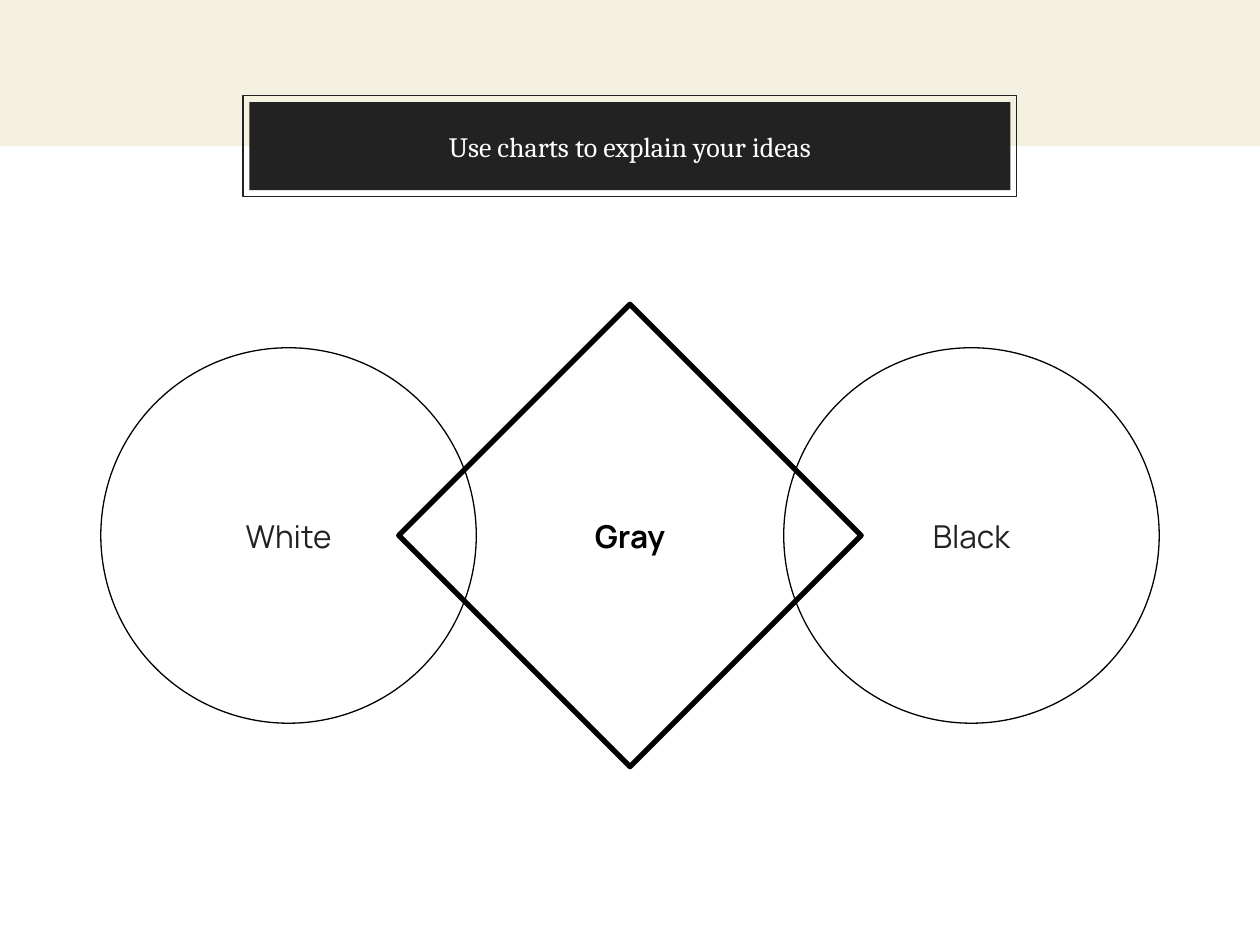
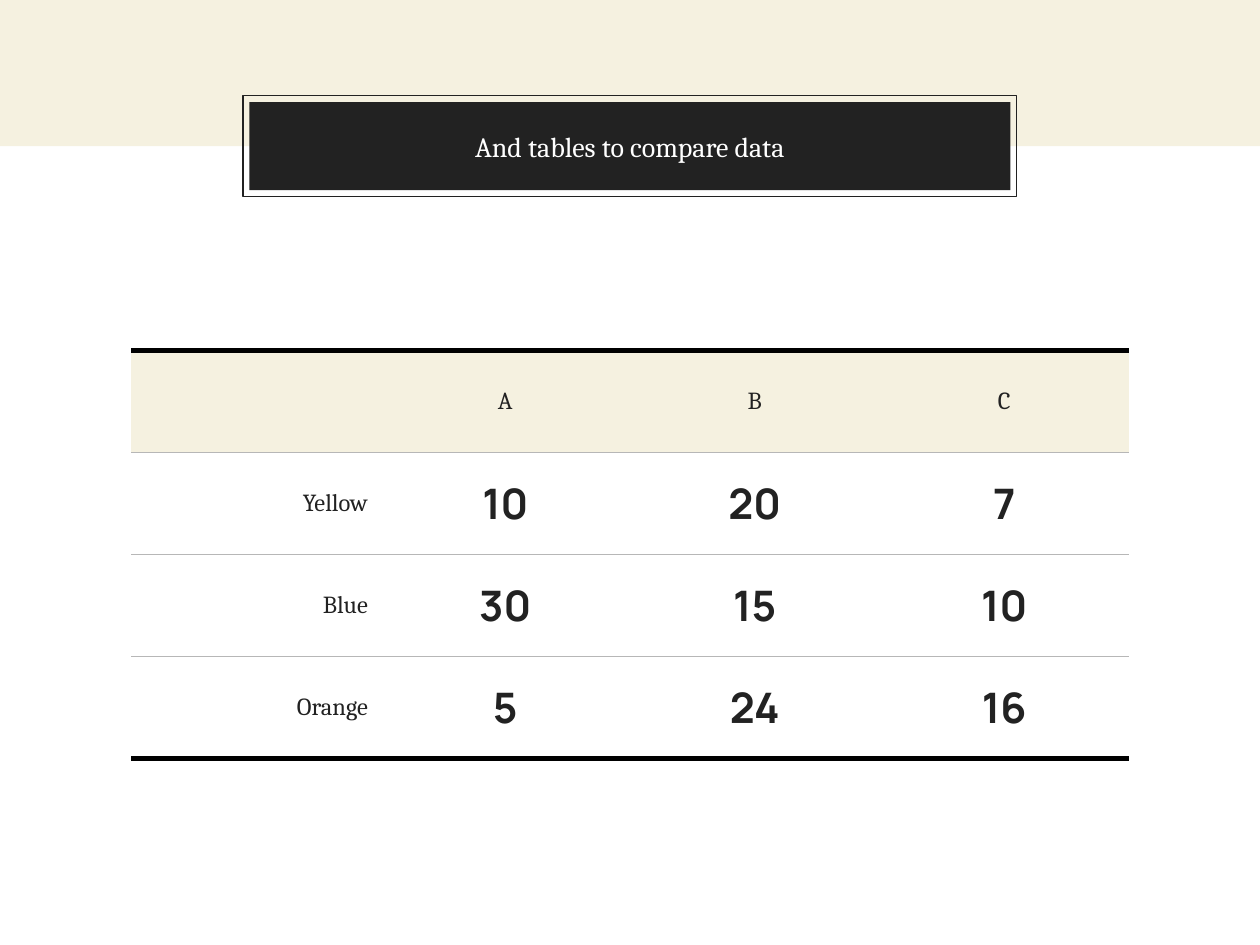
from dataclasses import dataclass

from lxml.etree import SubElement
from pptx import Presentation
from pptx.dml.color import RGBColor
from pptx.enum.shapes import MSO_SHAPE as Shape
from pptx.enum.text import MSO_ANCHOR as Anchor, PP_ALIGN as Align
from pptx.oxml.ns import qn
from pptx.util import Inches, Pt


@dataclass(frozen=True)
class Theme:
    cream: str = "F5F1E0"
    ink: str = "222222"
    black: str = "000000"
    white: str = "FFFFFF"
    rule: str = "B7B7B7"
    serif: str = "Cambria"
    sans: str = "Manrope"
    title_size: int = 16
    label_size: int = 18
    heading_size: int = 14
    value_size: int = 24
    thin: float = 0.75
    thick: float = 3
    margin: float = 0.1


def write_text(frame, text, *, font, size, color, bold=False, align=Align.CENTER):
    paragraph = frame.paragraphs[0]
    paragraph.alignment = align
    run = paragraph.add_run()
    run.text = text
    run.font.name = font
    run.font.size = Pt(size)
    run.font.bold = bold
    run.font.color.rgb = RGBColor.from_string(color)


def set_margins(target, margin):
    target.margin_left = target.margin_right = Inches(margin)
    target.margin_top = target.margin_bottom = Inches(margin)


def set_fill(fill, color):
    if color:
        fill.solid()
        fill.fore_color.rgb = RGBColor.from_string(color)
    else:
        fill.background()


def set_border(cell, side, color=None, width=0):
    properties = cell._tc.get_or_add_tcPr()
    line = SubElement(properties, qn(f"a:ln{side}"), w=str(int(Pt(width))))
    if color:
        fill = SubElement(line, qn("a:solidFill"))
        SubElement(fill, qn("a:srgbClr"), val=color)
    else:
        SubElement(line, qn("a:noFill"))


class Deck:
    def __init__(self, theme, width=10, height=7.5):
        self.theme = theme
        self.width = width
        self.presentation = Presentation()
        self.presentation.slide_width = Inches(width)
        self.presentation.slide_height = Inches(height)
        self.layout = self.presentation.slide_layouts.get_by_name("Title Only")
        self.slide = None

    def add_slide(self, title):
        is_first = self.slide is None
        self.slide = self.presentation.slides.add_slide(self.layout)
        if is_first:
            self.add_layout_band()
        self.set_title(title)

    def add_layout_band(self):
        band = self.add_shape(Shape.RECTANGLE, 0, 0, self.width, 1.16, fill=self.theme.cream)
        frame = self.add_shape(Shape.RECTANGLE, 1.93, 0.76, 6.14, 0.8,
                               line=self.theme.ink, weight=self.theme.thin)
        for shape in (band, frame):
            self.layout.shapes.element.append(shape.element)

    def set_title(self, text):
        title = self.slide.shapes.title
        title.left, title.top = Inches(1.98), Inches(0.81)
        title.width, title.height = Inches(6.04), Inches(0.7)
        set_fill(title.fill, self.theme.ink)
        title.text_frame.vertical_anchor = Anchor.MIDDLE
        set_margins(title.text_frame, self.theme.margin)
        write_text(title.text_frame, text, font=self.theme.serif,
                   size=self.theme.title_size, color=self.theme.white)

    def add_shape(self, kind, left, top, width, height, *, fill=None, line=None, weight=0):
        shape = self.slide.shapes.add_shape(
            kind, Inches(left), Inches(top), Inches(width), Inches(height))
        shape.shadow.inherit = False
        set_fill(shape.fill, fill)
        set_fill(shape.line.fill, line)
        if line:
            shape.line.width = Pt(weight)
        return shape

    def add_label_shape(self, kind, text, center_x, center_y, size, *, weight, color, bold=False):
        shape = self.add_shape(kind, center_x - size / 2, center_y - size / 2, size, size,
                               line=self.theme.black, weight=weight)
        frame = shape.text_frame
        frame.word_wrap = True
        frame.vertical_anchor = Anchor.MIDDLE
        set_margins(frame, self.theme.margin)
        write_text(frame, text, font=self.theme.sans, size=self.theme.label_size,
                   color=color, bold=bold)

    def add_table(self, rows, left, top, column_width, row_height):
        row_count, column_count = len(rows), len(rows[0])
        table = self.slide.shapes.add_table(
            row_count, column_count, Inches(left), Inches(top),
            Inches(column_width * column_count), Inches(row_height * row_count)).table
        table.horz_banding = False
        table.first_row = False
        for column in table.columns:
            column.width = Inches(column_width)
        for row_index, values in enumerate(rows):
            table.rows[row_index].height = Inches(row_height)
            for column_index, value in enumerate(values):
                cell = table.cell(row_index, column_index)
                self.format_cell(cell, row_index == 0, row_index == row_count - 1)
                self.write_cell(cell, value, row_index == 0, column_index == 0)

    def format_cell(self, cell, is_header, is_last):
        theme = self.theme
        outer, inner = (theme.black, theme.thick), (theme.rule, theme.thin)
        set_border(cell, "L")
        set_border(cell, "R")
        set_border(cell, "T", *(outer if is_header else inner))
        set_border(cell, "B", *(outer if is_last else inner))
        set_fill(cell.fill, theme.cream if is_header else None)
        cell.vertical_anchor = Anchor.MIDDLE
        set_margins(cell, theme.margin)

    def write_cell(self, cell, value, is_header, is_row_name):
        if not value:
            return
        theme = self.theme
        is_value = not is_header and not is_row_name
        write_text(cell.text_frame, value, color=theme.ink, bold=is_value,
                   font=theme.sans if is_value else theme.serif,
                   size=theme.value_size if is_value else theme.heading_size,
                   align=Align.RIGHT if is_row_name else Align.CENTER)


def build_chart_slide(deck):
    theme = deck.theme
    center_x, center_y, circle_offset = deck.width / 2, 4.25, 2.71
    deck.add_slide("Use charts to explain your ideas")
    for text, direction in (("White", -1), ("Black", 1)):
        deck.add_label_shape(Shape.OVAL, text, center_x + direction * circle_offset, center_y,
                             2.98, weight=theme.thin, color=theme.ink)
    deck.add_label_shape(Shape.DIAMOND, "Gray", center_x, center_y, 3.67,
                         weight=theme.thick, color=theme.black, bold=True)


def build_table_slide(deck):
    deck.add_slide("And tables to compare data")
    rows = [
        ("", "A", "B", "C"),
        ("Yellow", "10", "20", "7"),
        ("Blue", "30", "15", "10"),
        ("Orange", "5", "24", "16"),
    ]
    deck.add_table(rows, left=1.04, top=2.78, column_width=1.98, row_height=0.81)


def main():
    deck = Deck(Theme())
    build_chart_slide(deck)
    build_table_slide(deck)
    deck.presentation.save("out.pptx")


if __name__ == "__main__":
    main()
